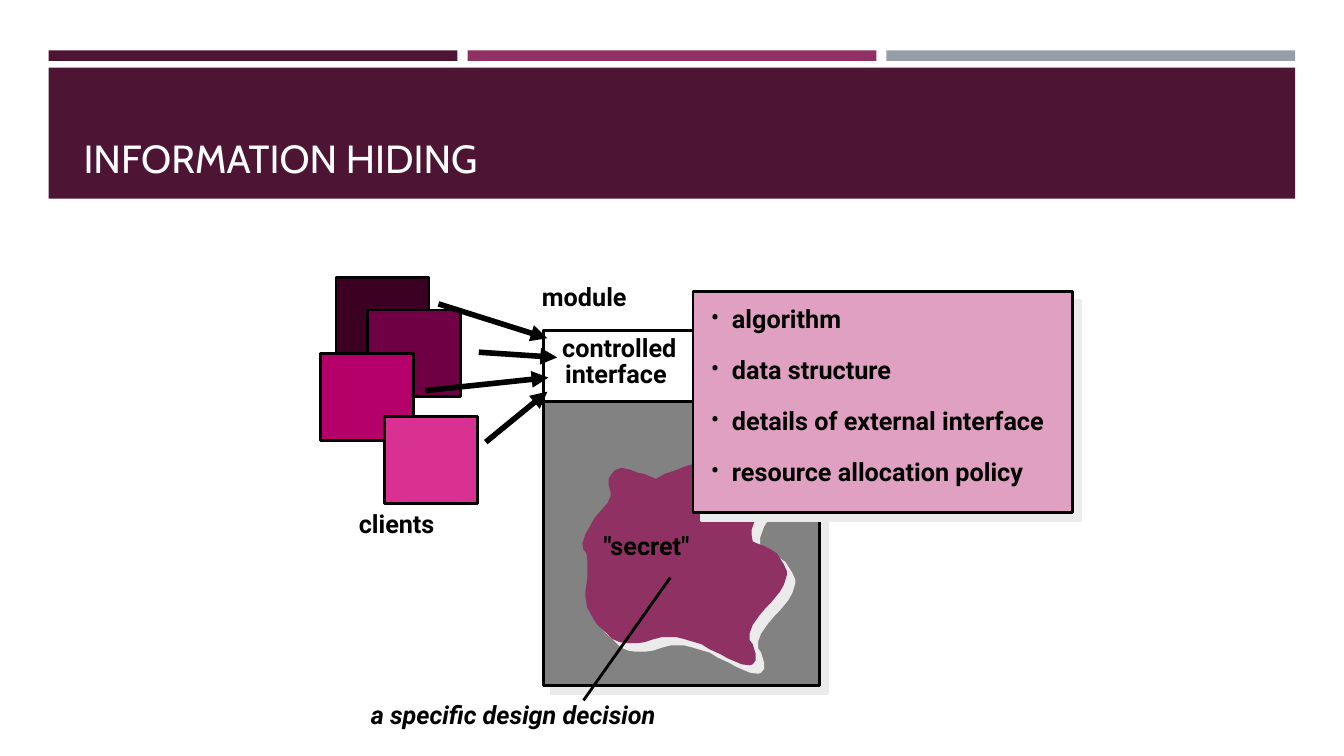
from lxml import etree
from pptx import Presentation
from pptx.dml.color import RGBColor
from pptx.enum.shapes import MSO_CONNECTOR, MSO_SHAPE
from pptx.enum.text import MSO_ANCHOR
from pptx.oxml.ns import qn
from pptx.util import Pt

RECTANGLE = MSO_SHAPE.RECTANGLE
STRAIGHT = MSO_CONNECTOR.STRAIGHT
MIDDLE = MSO_ANCHOR.MIDDLE
TOP = MSO_ANCHOR.TOP

BLACK = RGBColor(0x00, 0x00, 0x00)
WHITE = RGBColor(0xFF, 0xFF, 0xFF)
GRAY = RGBColor(0x82, 0x82, 0x82)
SILVER = RGBColor(0x96, 0x9F, 0xA7)
PLUM = RGBColor(0x4D, 0x14, 0x34)
MAGENTA = RGBColor(0x90, 0x31, 0x63)
PINK = RGBColor(0xDF, 0xA0, 0xC1)
SHADOW = RGBColor(0xEB, 0xEB, 0xEB)
CLIENT_COLORS = (
    RGBColor(0x3C, 0x00, 0x23),
    RGBColor(0x6E, 0x00, 0x43),
    RGBColor(0xB5, 0x00, 0x69),
    RGBColor(0xD9, 0x31, 0x92),
)

TITLE_FONT = "Cabin"
BODY_FONT = "Roboto"

CLIENT_OFFSETS = ((11, 0), (33.4, 23), (0, 54), (45.4, 99))
ARROWS = (
    ((113, 53.2), (169, 56.9)),
    ((84.2, 18.7), (162, 43.2)),
    ((74.9, 80.6), (162.7, 71.3)),
    ((118, 117.4), (162, 81.4)),
)
SECRETS = (
    "algorithm",
    "data structure",
    "details of external interface",
    "resource allocation policy",
)
BLOB_UNIT = Pt(0.72)
BLOB = (
    (73, 18), (61, 13), (55, 12), (48, 9), (39, 7), (33, 9), (30, 12),
    (26, 18), (26, 24), (28, 31), (28, 35), (25, 42), (18, 50), (12, 57),
    (7, 66), (3, 73), (0, 82), (1, 88), (4, 92), (5, 98), (5, 116), (3, 130),
    (3, 135), (5, 146), (11, 157), (15, 163), (21, 168), (30, 177), (37, 180),
    (43, 181), (55, 181), (62, 180), (71, 177), (79, 175), (93, 175),
    (101, 177), (111, 180), (118, 182), (126, 187), (137, 192), (144, 196),
    (158, 202), (166, 203), (169, 202), (172, 198), (172, 192), (169, 182),
    (166, 178), (166, 171), (169, 163), (176, 153), (182, 146), (187, 141),
    (196, 130), (200, 123), (203, 113), (203, 110), (200, 103), (193, 92),
    (187, 88), (179, 84), (173, 82), (169, 80), (168, 74), (168, 68),
    (172, 57), (179, 46), (185, 37), (189, 25), (189, 23), (187, 20),
    (183, 17), (165, 17), (157, 14), (147, 9), (140, 2), (135, 0), (122, 0),
    (111, 3), (101, 6), (94, 9), (82, 13),
)


def add_shadow(shape):
    effects = shape._element.spPr.find(qn("a:effectLst"))
    shadow = etree.SubElement(effects, qn("a:outerShdw"), dist=str(Pt(8.5)),
                              dir="2700000", algn="ctr", rotWithShape="0")
    etree.SubElement(shadow, qn("a:srgbClr"), val=str(SHADOW))


def style(shape, fill, outlined=False, shadowed=False):
    shape.shadow.inherit = False
    shape.fill.solid()
    shape.fill.fore_color.rgb = fill
    if outlined:
        shape.line.color.rgb = BLACK
        shape.line.width = Pt(2)
    else:
        shape.line.fill.background()
    if shadowed:
        add_shadow(shape)


def add_rectangle(slide, box, fill, outlined=False, shadowed=False):
    shape = slide.shapes.add_shape(RECTANGLE, *map(Pt, box))
    style(shape, fill, outlined, shadowed)


def add_run(paragraph, text, font=BODY_FONT, size=18, color=BLACK, bold=True, italic=False):
    run = paragraph.add_run()
    run.text = text
    run.font.name = font
    run.font.size = Pt(size)
    run.font.color.rgb = color
    run.font.bold = bold
    run.font.italic = italic


def add_frame(slide, box, anchor=TOP):
    frame = slide.shapes.add_textbox(*map(Pt, box)).text_frame
    frame.word_wrap = True
    frame.vertical_anchor = anchor
    return frame


def add_label(slide, left, top, width, text, italic=False):
    frame = add_frame(slide, (left, top, width, 28.8))
    add_run(frame.paragraphs[0], text, italic=italic)


def add_line(slide, start, end, width, arrow=False):
    connector = slide.shapes.add_connector(STRAIGHT, *map(Pt, start + end))
    connector.line.color.rgb = BLACK
    connector.line.width = Pt(width)
    if arrow:
        etree.SubElement(connector.line._get_or_add_ln(), qn("a:tailEnd"), type="triangle")
    etree.SubElement(connector._element.spPr, qn("a:effectLst"))


def add_header(slide, left, top, width, height):
    gap = 7.2
    bar_width = (width - 2 * gap) / 3
    for index, color in enumerate((PLUM, MAGENTA, SILVER)):
        add_rectangle(slide, (left + index * (bar_width + gap), top, bar_width, 7.5), color)
    add_rectangle(slide, (left, top + 12.4, width, height - 12.4), PLUM)
    frame = add_frame(slide, (left + 17.8, top + 56.2, 501, 41), MIDDLE)
    add_run(frame.paragraphs[0], "INFORMATION HIDING", TITLE_FONT, 28, WHITE, bold=False)


def add_module(slide, left, top, width, height):
    add_rectangle(slide, (left, top, width, height), GRAY, outlined=True, shadowed=True)
    add_label(slide, left - 8, top - 38.9, 90, "module")
    builder = slide.shapes.build_freeform(*BLOB[0], scale=BLOB_UNIT)
    builder.add_line_segments(BLOB[1:], close=True)
    blob = builder.convert_to_shape(Pt(left + 28), Pt(top + 92.9))
    style(blob, MAGENTA, shadowed=True)
    add_rectangle(slide, (left, top, width, 50.8), WHITE, outlined=True)
    add_label(slide, left + 6.5, top - 2.7, 110, "controlled")
    add_label(slide, left + 8.6, top + 16.2, 100, "interface")
    add_label(slide, left + 36, top + 139, 95, '"secret"')


def add_secrets(slide, left, top, width, height):
    add_rectangle(slide, (left, top, width, height), PINK, outlined=True, shadowed=True)
    frame = add_frame(slide, (left + 5.8, top + 4.3, width - 5.8, height - 8.6))
    for index, secret in enumerate(SECRETS):
        paragraph = frame.paragraphs[0] if index == 0 else frame.add_paragraph()
        paragraph.space_after = Pt(14.9)
        properties = paragraph._p.get_or_add_pPr()
        properties.set("marL", str(Pt(15)))
        properties.set("indent", str(-Pt(15)))
        etree.SubElement(properties, qn("a:buFont"), typeface=BODY_FONT)
        etree.SubElement(properties, qn("a:buChar"), char="•")
        add_run(paragraph, secret)


def add_clients(slide, left, top, side, height):
    for (across, down), color in zip(CLIENT_OFFSETS, CLIENT_COLORS):
        add_rectangle(slide, (left + across, top + down, side, height), color, outlined=True)
    add_label(slide, left + 20.2, top + 161, 85, "clients")
    for start, end in ARROWS:
        add_line(slide, (left + start[0], top + start[1]),
                 (left + end[0], top + end[1]), 4, arrow=True)


def add_decision(slide, left, top, width):
    add_label(slide, left, top, width, "a specific design decision", italic=True)
    add_line(slide, (left + 221, top - 83.5), (left + 159, top + 4.3), 2)


def main():
    presentation = Presentation()
    presentation.slide_width = Pt(960)
    presentation.slide_height = Pt(540)
    slide = presentation.slides.add_slide(presentation.slide_layouts[6])
    add_header(slide, 34.8, 36, 890.4, 106)
    add_module(slide, 388, 236.2, 197.3, 253.6)
    add_secrets(slide, 495, 208.5, 271, 157.7)
    add_clients(slide, 229, 198.4, 66.5, 62)
    add_decision(slide, 257.8, 496, 250)
    presentation.save("out.pptx")


if __name__ == "__main__":
    main()
